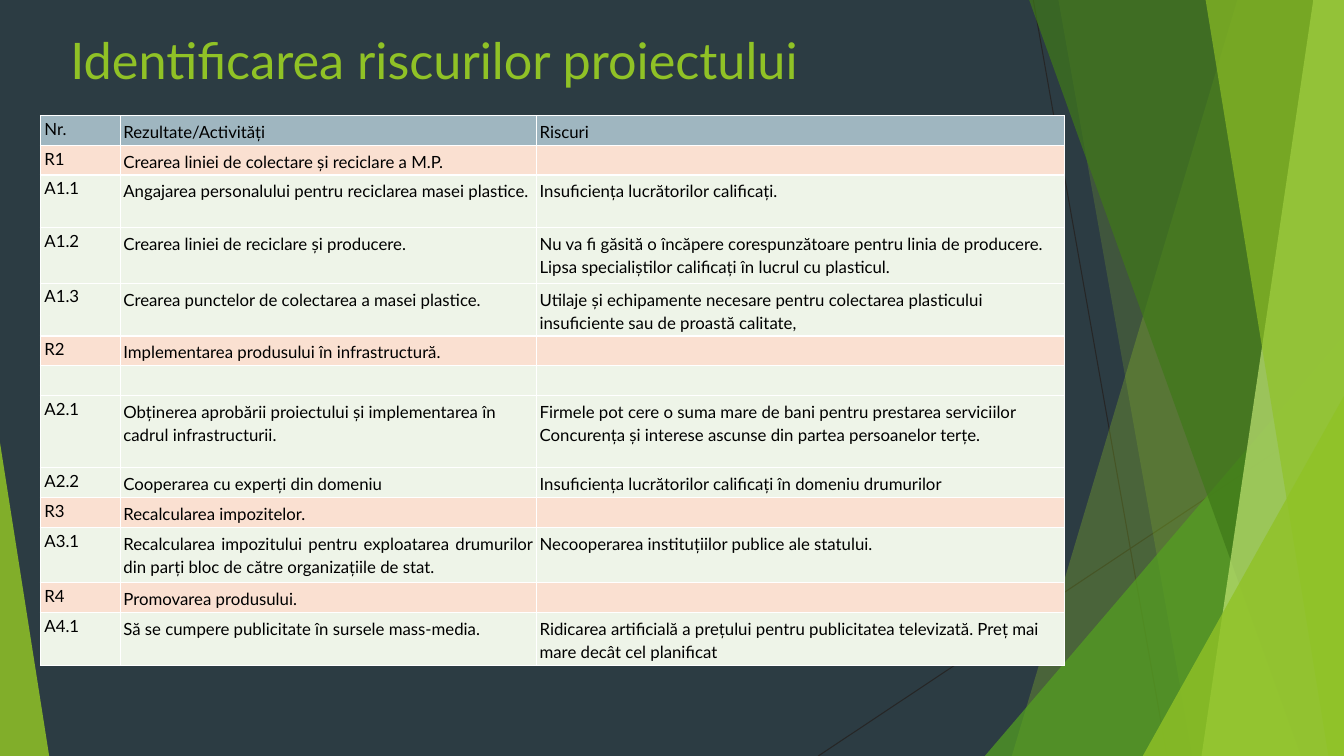
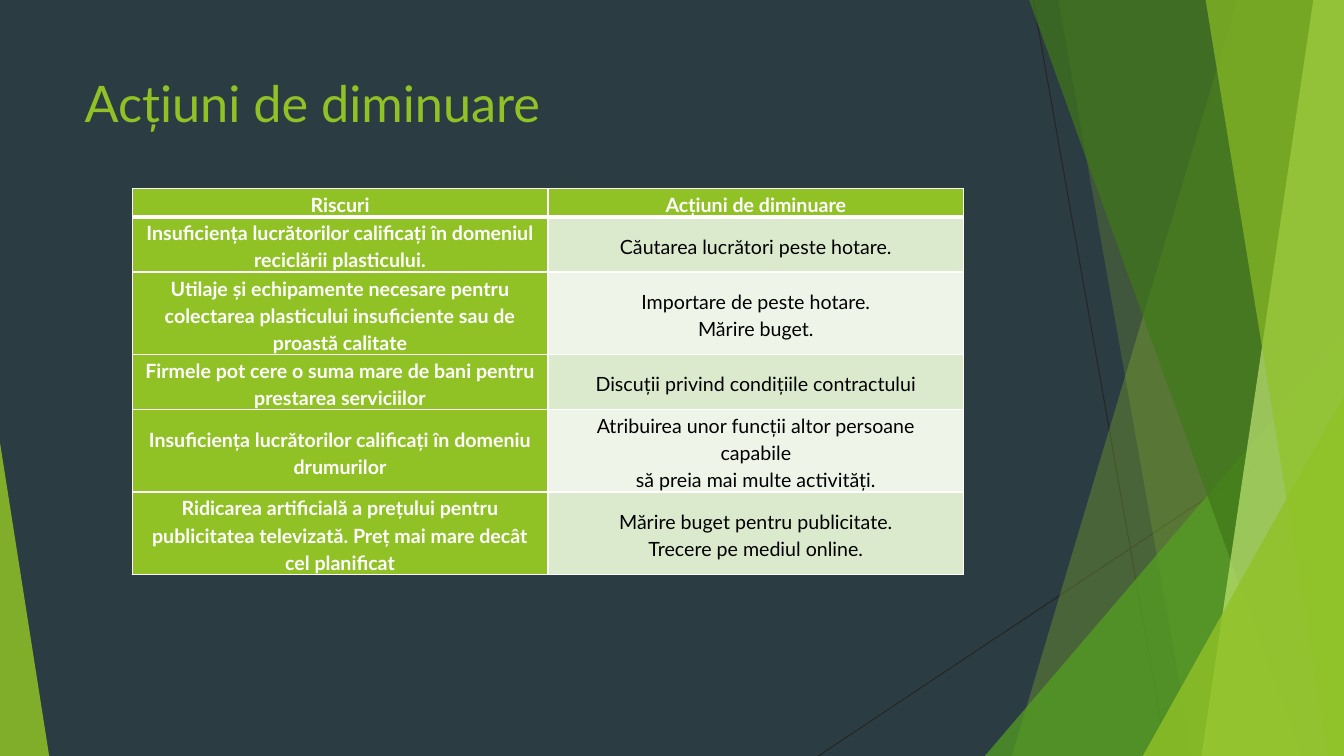
from lxml.etree import SubElement
from pptx import Presentation
from pptx.dml.color import RGBColor
from pptx.enum.shapes import MSO_CONNECTOR as Conn, MSO_SHAPE as Geo
from pptx.enum.text import MSO_ANCHOR as Anchor, PP_ALIGN as Align
from pptx.oxml import parse_xml
from pptx.oxml.ns import nsdecls, qn
from pptx.util import Cm, Pt

WIDE, HIGH = 33.87, 19.05
FONT = "Lato"
HUES = {
    "back": "2C3C43", "lime": "90C226", "leaf": "54A021", "moss": "3F7819",
    "pale": "C0E474", "line": "262626", "white": "FFFFFF", "black": "000000",
    "head": "9FB6C0", "peach": "FAE0D1", "mist": "EEF4E8", "sage": "DBE9CD",
}
RISKS = [
    (0.74, "Nr.", "Rezultate/Activități", ["Riscuri"]),
    (0.74, "R1", "Crearea liniei de colectare și reciclare a M.P.", []),
    (1.33, "A1.1", "Angajarea personalului pentru reciclarea masei plastice.",
     ["Insuficiența lucrătorilor calificați."]),
    (1.4, "A1.2", "Crearea liniei de reciclare și producere.",
     ["Nu va fi găsită o încăpere corespunzătoare pentru linia de producere.",
      "Lipsa specialiștilor calificați în lucrul cu plasticul."]),
    (1.33, "A1.3", "Crearea punctelor de colectarea a masei plastice.",
     ["Utilaje și echipamente necesare pentru colectarea plasticului "
      "insuficiente sau de proastă calitate,"]),
    (0.74, "R2", "Implementarea produsului în infrastructură.", []),
    (0.76, "", "", []),
    (1.81, "A2.1", "Obținerea aprobării proiectului și implementarea în cadrul "
     "infrastructurii.",
     ["Firmele pot cere o suma mare de bani pentru prestarea serviciilor",
      "Concurența și interese ascunse din partea persoanelor terțe."]),
    (0.76, "A2.2", "Cooperarea cu experți din domeniu",
     ["Insuficiența lucrătorilor calificați în domeniu drumurilor"]),
    (0.74, "R3", "Recalcularea impozitelor.", []),
    (1.4, "A3.1", "Recalcularea impozitului pentru exploatarea drumurilor din "
     "parți bloc de către organizațiile de stat.",
     ["Necooperarea instituțiilor publice ale statului."]),
    (0.74, "R4", "Promovarea produsului.", []),
    (1.33, "A4.1", "Să se cumpere publicitate în sursele mass-media.",
     ["Ridicarea artificială a prețului pentru publicitatea televizată. "
      "Preț mai mare decât cel planificat"]),
]
STEPS = [
    (0.71, "Riscuri", ["Acțiuni de diminuare"]),
    (1.39, "Insuficiența lucrătorilor calificați în domeniul reciclării "
     "plasticului.", ["Căutarea lucrători peste hotare."]),
    (2.07, "Utilaje și echipamente necesare pentru colectarea plasticului "
     "insuficiente sau de proastă calitate",
     ["Importare de peste hotare.", "Mărire buget."]),
    (1.39, "Firmele pot cere o suma mare de bani pentru prestarea serviciilor",
     ["Discuții privind condițiile contractului"]),
    (2.07, "Insuficiența lucrătorilor calificați în domeniu drumurilor",
     ["Atribuirea unor funcții altor persoane", "capabile",
      "să preia mai multe activități."]),
    (2.07, "Ridicarea artificială a prețului pentru publicitatea televizată. "
     "Preț mai mare decât cel planificat",
     ["Mărire buget pentru publicitate.", "Trecere pe mediul online."]),
]


def tint(name):
    """Return the named colour."""
    return RGBColor.from_string(HUES[name])


def paint(shape, hue, alpha):
    """Fill a shape with a see-through colour and no outline."""
    shape.shadow.inherit = False
    shape.line.fill.background()
    shape.fill.solid()
    shape.fill.fore_color.rgb = tint(hue)
    clr = shape.fill.fore_color.rgb and shape.element.xpath(".//a:srgbClr")[0]
    SubElement(clr, qn("a:alpha")).set("val", str(alpha * 1000))


def ray(group, *ends):
    """Draw a thin line between two points."""
    line = group.shapes.add_connector(Conn.STRAIGHT, *map(Cm, ends))
    line.line.color.rgb = tint("line")
    line.line.width = Pt(0.75)
    SubElement(line.element.spPr, qn("a:effectLst"))


def band(group, top, foot, hue, alpha):
    """Draw a full-height band with a slanted left edge."""
    pen = group.shapes.build_freeform(Cm(top), Cm(-0.02), scale=1.0)
    pen.add_line_segments([(Cm(x), Cm(y)) for x, y in
                           ((WIDE, -0.02), (WIDE, HIGH), (foot, HIGH))])
    paint(pen.convert_to_shape(), hue, alpha)


def wedge(group, left, top, width, tip, hue, alpha):
    """Draw a right triangle that stands on the slide's foot."""
    shape = group.shapes.add_shape(Geo.ISOSCELES_TRIANGLE, Cm(left), Cm(top),
                                   Cm(width), Cm(HIGH - top))
    shape.adjustments[0] = tip
    paint(shape, hue, alpha)


def facets(layout, slide):
    """Build the shared backdrop and place it on the layout."""
    layout.background.fill.solid()
    layout.background.fill.fore_color.rgb = tint("back")
    group = slide.shapes.add_group_shape()
    ray(group, 26.04, 0, 29.41, HIGH)
    ray(group, WIDE, 10.24, 20.62, HIGH)
    band(group, 31.19, 25.5, "lime", 30)
    band(group, 26.67, 30.05, "lime", 20)
    wedge(group, 24.82, 8.46, 9.05, 1, "leaf", 72)
    band(group, 25.93, 32.79, "moss", 70)
    band(group, 33.1, 30.28, "pale", 70)
    band(group, 30.38, 33.48, "lime", 65)
    wedge(group, 28.8, 9.98, 5.07, 1, "lime", 80)
    wedge(group, 0, 11.15, 1.24, 0, "lime", 85)
    layout.shapes.element.insert(2, group.element)


def style(para, size, hue, align, bold=False):
    """Format one paragraph."""
    para.alignment = align
    font = para.font
    font.name, font.size, font.bold = FONT, Pt(size), bold
    font.color.rgb = tint(hue)


def head(slide, text, left, top, height):
    """Place and format the slide title."""
    title = slide.shapes.title
    title.left, title.top = Cm(left), Cm(top)
    title.width, title.height = Cm(23.88), Cm(height)
    frame = title.text_frame
    frame.text = text
    frame.vertical_anchor = Anchor.TOP
    style(frame.paragraphs[0], 36, "lime", Align.LEFT)


def grid(slide, left, top, cols, rows):
    """Add a plain table with the given column widths and row heights."""
    table = slide.shapes.add_table(
        len(rows), len(cols), Cm(left), Cm(top),
        Cm(sum(cols)), Cm(sum(rows))).table
    table.first_row = table.horz_banding = False
    for col, width in zip(table.columns, cols):
        col.width = Cm(width)
    for row, height in zip(table.rows, rows):
        row.height = Cm(height)
    return table


def edge(cell, top=1, foot=1):
    """Draw white borders round a cell."""
    props = cell._tc.get_or_add_tcPr()
    for spot, (side, size) in enumerate(zip("LRTB", (1, 1, top, foot))):
        props.insert(spot, parse_xml(
            f'<a:ln{side} {nsdecls("a")} w="{Pt(size)}"><a:solidFill>'
            f'<a:srgbClr val="{HUES["white"]}"/></a:solidFill></a:ln{side}>'))


def fill(cell, lines, hue, pads, size, ink, align, bold=False):
    """Write the lines into a cell and colour it."""
    cell.fill.solid()
    cell.fill.fore_color.rgb = tint(hue)
    cell.margin_left = cell.margin_right = Cm(pads[0])
    cell.margin_top, cell.margin_bottom = Cm(pads[1]), Cm(pads[2])
    cell.text_frame.text = "\n".join(lines)
    for para in cell.text_frame.paragraphs:
        style(para, size, ink, align, bold)
        para.line_spacing = 1.15


def risks(slide):
    """Fill the table of activities and their risks."""
    table = grid(slide, 1.02, 2.92, (2.01, 10.49, 13.31),
                 [row[0] for row in RISKS])
    for r, (_, key, task, notes) in enumerate(RISKS):
        hue = "head" if r == 0 else "peach" if key[:1] == "R" else "mist"
        side = Align.LEFT if key in ("A2.1", "A2.2", "R3") else Align.JUSTIFY
        for c, lines in enumerate(([key], [task], notes)):
            cell = table.cell(r, c)
            pads = (0.08, 0.08, 0.08) if c else (0.1, 0, 0)
            fill(cell, lines, hue, pads, 12, "black",
                 side if c < 2 else Align.LEFT)
            edge(cell)


def steps(slide):
    """Fill the table of risks and the actions against them."""
    table = grid(slide, 3.33, 4.75, (10.48, 10.48), [row[0] for row in STEPS])
    for r, (_, risk, acts) in enumerate(STEPS):
        for c, lines in enumerate(([risk], acts)):
            cell = table.cell(r, c)
            bold = r == 0 or c == 0
            hue = "lime" if bold else "sage" if r % 2 else "mist"
            fill(cell, lines, hue, (0.18, 0.03, 0), 14,
                 "white" if bold else "black", Align.CENTER, bold)
            cell.vertical_anchor = Anchor.MIDDLE
            edge(cell, 3 if r == 1 else 1, 3 if r == 0 else 1)


def main():
    """Build and save the deck."""
    deck = Presentation()
    deck.slide_width, deck.slide_height = Cm(WIDE), Cm(HIGH)
    layout = deck.slide_layouts[5]
    first, second = (deck.slides.add_slide(layout) for _ in range(2))
    facets(layout, first)
    head(first, "Identificarea riscurilor proiectului", 1.52, 0.61, 2.34)
    risks(first)
    head(second, "Acțiuni de diminuare", 1.88, 1.7, 2.79)
    steps(second)
    deck.save("out.pptx")


if __name__ == "__main__":
    main()
